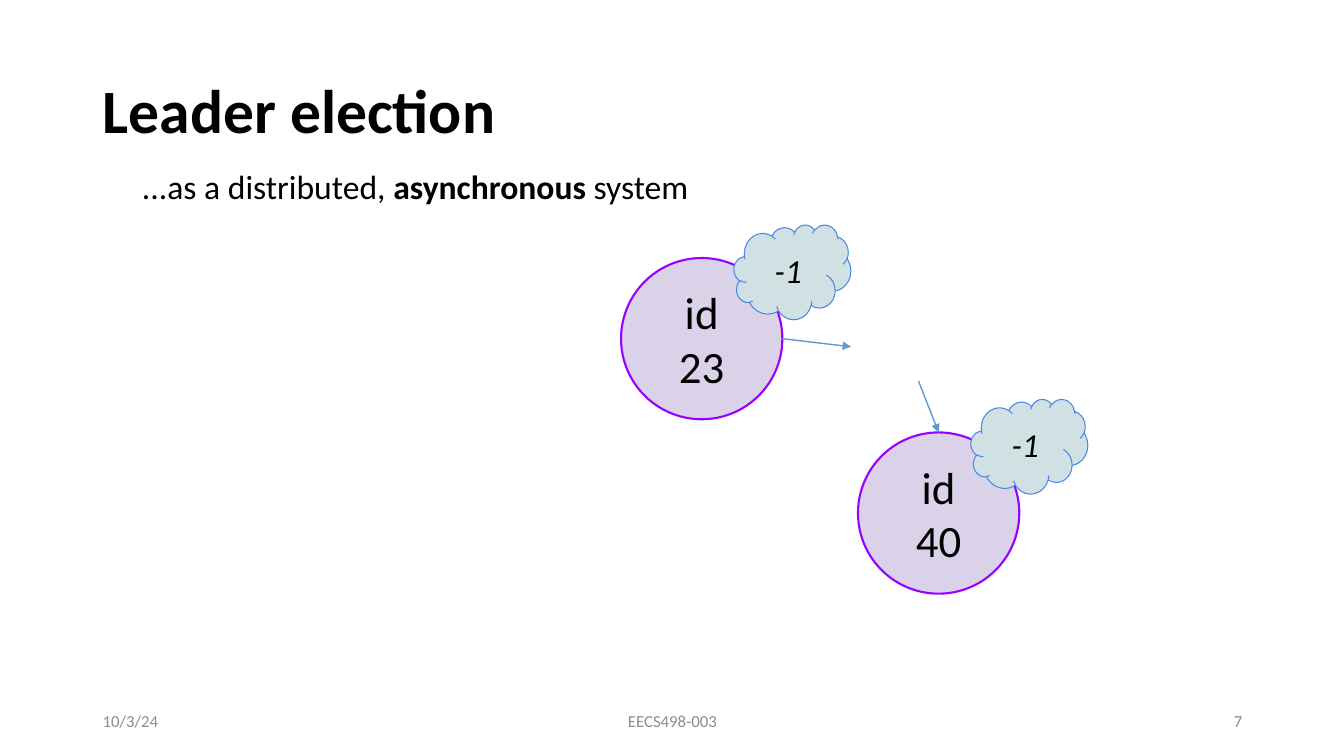
import dataclasses

import pptx
import pptx.dml.color
import pptx.enum.shapes
import pptx.enum.text
import pptx.oxml
import pptx.oxml.ns
import pptx.util

PX = 9144
ALIGN = pptx.enum.text.PP_ALIGN
ANCHOR = pptx.enum.text.MSO_ANCHOR
SHAPE = pptx.enum.shapes.MSO_SHAPE


@dataclasses.dataclass(frozen=True)
class Theme:
    """Colours, type sizes and line widths of the slide."""
    font: str = "Calibri"
    ink: str = "000000"
    muted: str = "8C8C8C"
    node_fill: str = "D9D2E9"
    node_line: str = "9900FF"
    thought_fill: str = "D0E0E3"
    thought_line: str = "4A86E8"
    arrow: str = "5B9BD5"
    title_size: int = 44
    node_size: int = 32
    body_size: int = 24
    footer_size: int = 12
    node_width: float = 1.5
    thought_width: float = 0.75
    arrow_width: float = 1


THEME = Theme()


def px(*lengths):
    """Turn whole px into EMU."""
    return [pptx.util.Emu(length * PX) for length in lengths]


def rgb(code):
    """Turn a hex code into a colour."""
    return pptx.dml.color.RGBColor.from_string(code)


def style(paragraph, size, color=THEME.ink, align=ALIGN.LEFT):
    """Set the font and alignment of a paragraph."""
    paragraph.alignment = align
    paragraph.font.name = THEME.font
    paragraph.font.size = pptx.util.Pt(size)
    paragraph.font.color.rgb = rgb(color)


def add_title(slide, box, wording):
    """Place and format the slide title."""
    title = slide.shapes.title
    title.left, title.top, title.width, title.height = px(*box)
    title.text_frame.text = wording
    title.text_frame.vertical_anchor = ANCHOR.MIDDLE
    heading = title.text_frame.paragraphs[0]
    style(heading, THEME.title_size)
    heading.font.bold = True
    heading.line_spacing = 0.9


def add_subtitle(slide, box, pieces):
    """Write one line made of (wording, bold) pieces."""
    frame = slide.shapes.add_textbox(*px(*box)).text_frame
    frame.word_wrap = True
    line = frame.paragraphs[0]
    style(line, THEME.body_size)
    for wording, bold in pieces:
        run = line.add_run()
        run.text = wording
        run.font.bold = bold


def add_bubble(slide, kind, box, lines, fill, outline, width, size, italic=False):
    """Draw a filled shape with centred lines of text."""
    bubble = slide.shapes.add_shape(kind, *px(*box))
    bubble.shadow.inherit = False
    bubble.fill.solid()
    bubble.fill.fore_color.rgb = rgb(fill)
    bubble.line.color.rgb = rgb(outline)
    bubble.line.width = pptx.util.Pt(width)
    frame = bubble.text_frame
    frame.word_wrap = True
    frame.vertical_anchor = ANCHOR.MIDDLE
    frame.margin_left = frame.margin_right = px(13)[0]
    frame.margin_top = frame.margin_bottom = px(13)[0]
    frame.text = "\n".join(lines)
    for paragraph in frame.paragraphs:
        style(paragraph, size, align=ALIGN.CENTER)
        paragraph.font.italic = italic


def add_node(slide, box, number, leader):
    """Draw a node with its id and a cloud holding its known leader."""
    left, top, _, _ = box
    add_bubble(slide, SHAPE.OVAL, box, ["id", number], THEME.node_fill,
               THEME.node_line, THEME.node_width, THEME.node_size)
    add_bubble(slide, SHAPE.CLOUD, (left + 112, top - 33, 116, 94), [leader],
               THEME.thought_fill, THEME.thought_line, THEME.thought_width,
               THEME.body_size, italic=True)


def add_arrow(slide, start, end):
    """Draw a message arrow from start to end."""
    arrow = slide.shapes.add_connector(
        pptx.enum.shapes.MSO_CONNECTOR.STRAIGHT, *px(*start, *end))
    arrow.line.color.rgb = rgb(THEME.arrow)
    arrow.line.width = pptx.util.Pt(THEME.arrow_width)
    namespace = pptx.oxml.ns.nsdecls("a")
    arrow.line._get_or_add_ln().append(
        pptx.oxml.parse_xml(f'<a:tailEnd {namespace} type="triangle"/>'))
    arrow._element.spPr.append(pptx.oxml.parse_xml(f"<a:effectLst {namespace}/>"))


def add_network(slide, box):
    """Draw the two nodes and the loose ends of their links."""
    left, top, _, _ = box
    side = 160
    receiver_left, receiver_top = left + 235, top + 173
    add_node(slide, (left, top, side, side), "23", "-1")
    add_node(slide, (receiver_left, receiver_top, side, side), "40", "-1")
    sender_edge = (left + side, top + side // 2)
    receiver_edge = (receiver_left + side // 2, receiver_top)
    add_arrow(slide, sender_edge, (sender_edge[0] + 68, sender_edge[1] + 8))
    add_arrow(slide, (receiver_edge[0] - 20, receiver_edge[1] - 51), receiver_edge)


def add_footer(slide, box, date, course, page):
    """Write date, course and page number along the bottom."""
    left, top, width, height = box
    side, middle = 300, 450
    cells = (
        (left, side, date, ALIGN.LEFT),
        (left + (width - middle) // 2, middle, course, ALIGN.CENTER),
        (left + width - side, side, page, ALIGN.RIGHT),
    )
    for cell_left, cell_width, wording, align in cells:
        frame = slide.shapes.add_textbox(
            *px(cell_left, top, cell_width, height)).text_frame
        frame.word_wrap = True
        frame.vertical_anchor = ANCHOR.MIDDLE
        frame.text = wording
        style(frame.paragraphs[0], THEME.footer_size, THEME.muted, align)


def main():
    """Build the leader election slide."""
    deck = pptx.Presentation()
    deck.slide_width, deck.slide_height = px(1333, 750)
    slide = deck.slides.add_slide(deck.slide_layouts.get_by_name("Title Only"))
    add_title(slide, (92, 40, 1150, 145), "Leader election")
    add_network(slide, (616, 256, 395, 333))
    add_subtitle(slide, (131, 160, 713, 50), (
        ("...as a distributed, ", False), ("asynchronous", True), (" system", False)))
    add_footer(slide, (92, 695, 1150, 40), "10/3/24", "EECS498-003", "7")
    deck.save("out.pptx")


if __name__ == "__main__":
    main()
